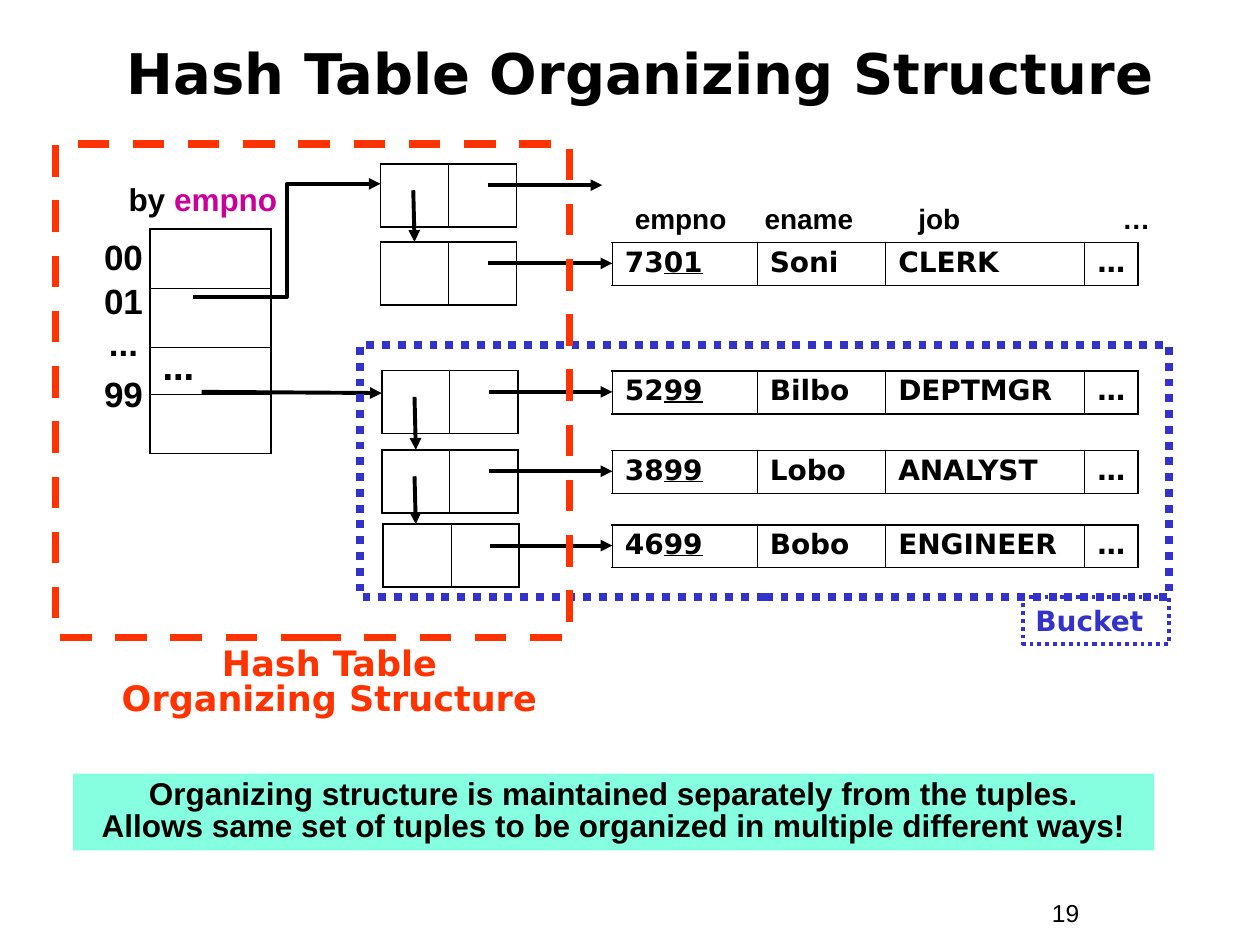
from dataclasses import dataclass
from typing import Optional

from lxml.etree import SubElement
from pptx import Presentation
from pptx.dml.color import RGBColor
from pptx.enum.dml import MSO_LINE
from pptx.enum.shapes import MSO_CONNECTOR, MSO_SHAPE
from pptx.enum.text import MSO_ANCHOR, PP_ALIGN
from pptx.oxml.ns import qn
from pptx.util import Inches, Pt

HUE = {"ink": "000000", "key": "CC0099", "blue": "3333CC", "red": "FF3300", "mint": "85FFDF"}
SANS, WIDE = "Arial", "DejaVu Sans"
THIN, THICK = 0.45, 1.08
LEFT, MID = PP_ALIGN.LEFT, PP_ALIGN.CENTER

deck = Presentation()
deck.slide_width, deck.slide_height = Inches(10), Inches(7.5)
COL, ROW = deck.slide_width / 100, deck.slide_height / 75
slide = deck.slides.add_slide(deck.slide_layouts[6])


@dataclass
class Box:
    x: float
    y: float
    w: float
    h: float

    def place(self) -> tuple:
        return round(self.x * COL), round(self.y * ROW), round(self.w * COL), round(self.h * ROW)


@dataclass
class Run:
    text: str
    hue: str = "ink"
    line: bool = False


@dataclass
class Node:
    x: float
    y: float
    tip: float = 48.6
    next: Optional[float] = None
    data: tuple = ()


def tint(hue: str) -> RGBColor:
    return RGBColor.from_string(HUE[hue])


def write(frame, *paras, size=18, font=SANS, bold=True, align=LEFT, lead=1.0,
          gaps=(), tabs=(), anchor=MSO_ANCHOR.TOP) -> None:
    frame.word_wrap = True
    frame.vertical_anchor = anchor
    for i, runs in enumerate(paras):
        para = frame.paragraphs[0] if i == 0 else frame.add_paragraph()
        para.alignment, para.line_spacing = align, lead
        if i and gaps:
            para.space_before = Pt(gaps[i - 1])
        if tabs:
            stops = SubElement(para._p.get_or_add_pPr(), qn("a:tabLst"))
            for stop in tabs:
                SubElement(stops, qn("a:tab"), pos=str(round(stop * COL)), algn="l")
        for part in runs:
            for j, text in enumerate(part.text.split("\n")):
                if j:
                    para.add_line_break()
                run = para.add_run()
                run.text = text
                run.font.size, run.font.name, run.font.bold = Pt(size), font, bold
                run.font.underline = part.line
                run.font.color.rgb = tint(part.hue)


def label(box: Box, *paras, **form) -> None:
    write(slide.shapes.add_textbox(*box.place()).text_frame, *paras, **form)


def panel(box: Box, fill=None, edge=None, width=4.5, dash=None):
    shape = slide.shapes.add_shape(MSO_SHAPE.RECTANGLE, *box.place())
    shape.shadow.inherit = False
    if fill:
        shape.fill.solid()
        shape.fill.fore_color.rgb = tint(fill)
    else:
        shape.fill.background()
    if edge:
        shape.line.color.rgb = tint(edge)
        shape.line.width, shape.line.dash_style = Pt(width), dash
    else:
        shape.line.fill.background()
    return shape.text_frame


def arrow(x1: float, y1: float, x2: float, y2: float, kind=MSO_CONNECTOR.STRAIGHT) -> None:
    ends = [round(n) for n in (x1 * COL, y1 * ROW, x2 * COL, y2 * ROW)]
    link = slide.shapes.add_connector(kind, *ends)
    link.line.color.rgb = tint("ink")
    link.line.width = Pt(2.25)
    SubElement(link.line._get_or_add_ln(), qn("a:tailEnd"), type="triangle")
    SubElement(link._element.spPr, qn("a:effectLst"))


def border(cell, **widths) -> None:
    props = cell._tc.get_or_add_tcPr()
    for side, width in widths.items():
        line = SubElement(props, qn(f"a:ln{side}"), w=str(Pt(width)))
        SubElement(SubElement(line, qn("a:solidFill")), qn("a:srgbClr"), val=HUE["ink"])


def grid(x: float, y: float, cols: list, rows: list):
    box = Box(x, y, sum(cols), sum(rows))
    table = slide.shapes.add_table(len(rows), len(cols), *box.place()).table
    table.first_row = table.horz_banding = False
    for c, wide in enumerate(cols):
        table.columns[c].width = round(wide * COL)
    for r, tall in enumerate(rows):
        table.rows[r].height = round(tall * ROW)
        for c in range(len(cols)):
            cell = table.cell(r, c)
            border(cell, L=THIN if c else THICK, R=THICK if c == len(cols) - 1 else THIN,
                   T=THIN if r else THICK, B=THICK if r == len(rows) - 1 else THIN)
            cell.fill.background()
    return table


def record(y: float, data: tuple) -> None:
    table = grid(48.6, y, [11.5, 10.2, 15.8, 4.2], [3.4])
    for c, text in enumerate(data + ("…",)):
        runs = [Run(text)] if c else [Run(text[:2]), Run(text[2:], line=True)]
        write(table.cell(0, c).text_frame, runs, size=16, font=WIDE, lead=0.9)


def chain(node: Node) -> None:
    grid(node.x, node.y, [5.4, 5.4], [5])
    if node.data:
        record(node.y + 0.05, node.data)
    arrow(node.x + 8.5, node.y + 1.7, node.tip, node.y + 1.7)


NODES = [
    Node(30.2, 13, tip=47.8, next=19.2),
    Node(30.2, 19.2, data=("7301", "Soni", "CLERK")),
    Node(30.3, 29.4, next=35.7, data=("5299", "Bilbo", "DEPTMGR")),
    Node(30.3, 35.7, next=41.6, data=("3899", "Lobo", "ANALYST")),
    Node(30.4, 41.6, data=("4699", "Bobo", "ENGINEER")),
]

label(Box(4.2, 1.1, 93.3, 9.2), [Run("Hash Table Organizing Structure")],
      size=32, font=WIDE, align=MID, anchor=MSO_ANCHOR.MIDDLE)
label(Box(82.5, 70.8, 9.2, 3.4), [Run("19")], size=14, bold=False)

index = grid(11.9, 18.2, [9.6], [4.7, 4.7, 3.7, 4.7])
write(index.cell(2, 0).text_frame, [Run("…")], font=WIDE, lead=0.9)
index.cell(2, 0).vertical_anchor = MSO_ANCHOR.MIDDLE
label(Box(6.9, 18.2, 5.8, 14.7), *([Run(key)] for key in ("00", "01", "...", "99")),
      size=20, align=MID, gaps=(1.2, 0, 5))
label(Box(8.2, 13.8, 15.8, 4), [Run("by "), Run("empno", "key")], align=MID)
label(Box(49.4, 15.5, 47.5, 3.7), [Run("empno\tename\tjob\t…")],
      size=16, tabs=(10.3, 22.5, 38.7))

for node in NODES:
    chain(node)
for node in NODES:
    if node.next:
        arrow(node.x + 2.6, node.y + 2.1, node.x + 2.7, node.next)
arrow(15.3, 23.6, 30.2, 14.6, MSO_CONNECTOR.ELBOW)
arrow(16, 31.1, 30.3, 31.2)

panel(Box(28.6, 27.4, 64.2, 20), edge="blue", dash=MSO_LINE.ROUND_DOT)
write(panel(Box(81.2, 47.4, 11.6, 3.7), edge="blue", width=2.25, dash=MSO_LINE.ROUND_DOT),
      [Run("Bucket", "blue")], size=16, font=WIDE)
panel(Box(4.4, 11.4, 40.8, 39.2), edge="red", dash=MSO_LINE.DASH)
label(Box(7.8, 50.9, 36.7, 6.7), [Run("Hash Table Organizing Structure", "red")],
      size=20, font=WIDE, align=MID, lead=0.85)
write(panel(Box(5.8, 61.4, 85.8, 6.1), fill="mint"),
      [Run("Organizing structure is maintained separately from the tuples.\n"
           "Allows same set of tuples to be organized in multiple different ways!")],
      align=MID, lead=0.85)

deck.save("out.pptx")
